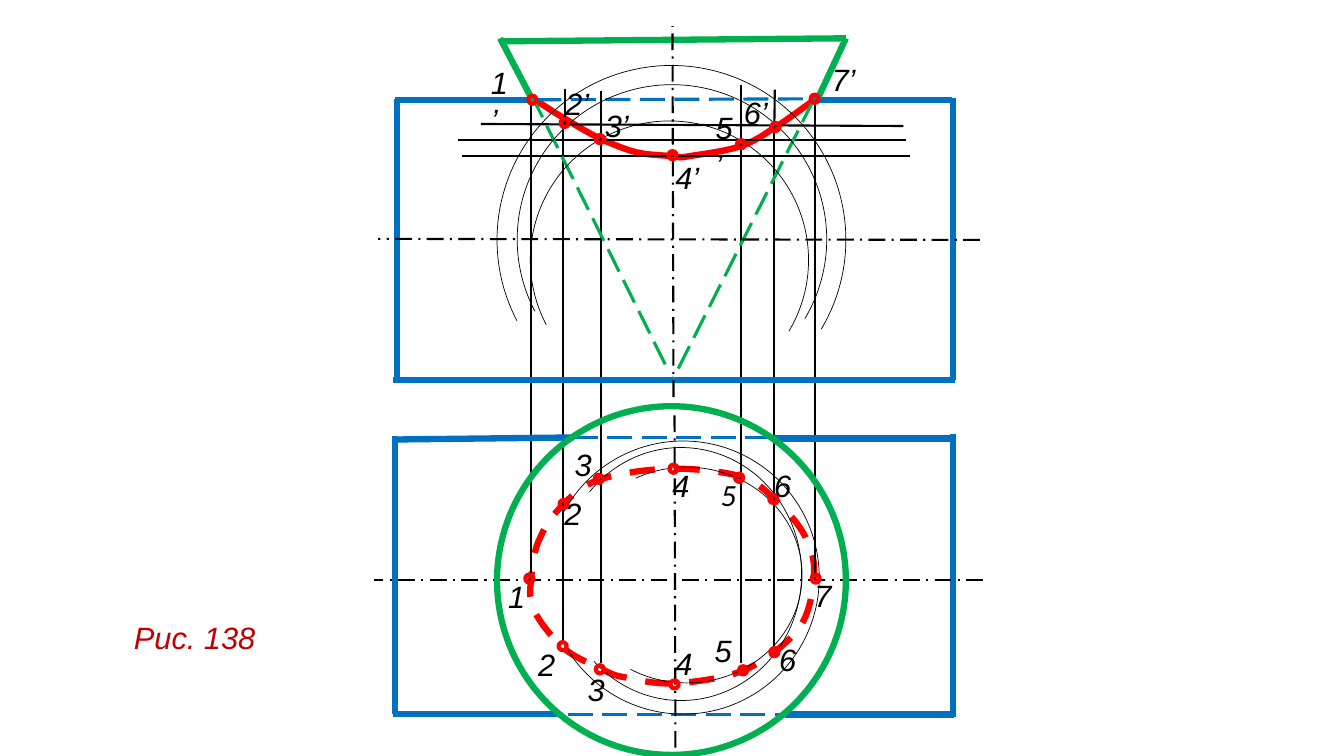
from lxml import etree
from pptx import Presentation, util as u
from pptx.dml.color import RGBColor
from pptx.enum import dml, shapes, text
from pptx.oxml.ns import qn

G = u.Inches(0.01)  # grid step: every position below counts columns and rows
RED, BLUE, GREEN, BLACK = "FF0000", "0070C0", "00B050", "000000"
DASH, LONG, AXIS = (dml.MSO_LINE.DASH, dml.MSO_LINE.LONG_DASH,
                    dml.MSO_LINE.LONG_DASH_DOT)


def rgb(color):
    return RGBColor.from_string(color)


def outline(sp, color, width, dash=None):
    """Give a shape or connector a plain line, with no fill or shadow."""
    if hasattr(sp, "fill"):
        sp.fill.background()
    sp.line.color.rgb = rgb(color)
    for name, value in {"width": u.Pt(width), "dash_style": dash}.items():
        setattr(sp.line, name, value)
    etree.SubElement(sp._element.spPr, qn("a:effectLst"))


prs = Presentation()
prs.slide_width, prs.slide_height = 1333 * G, 750 * G
s = prs.slides.add_slide(prs.slide_layouts[6])

# Intersection curves: a start point, then Bezier pieces of three points each
plan_curve = [
    (669, 465), (692, 465), (719, 468), (736, 473), (753, 479), (759, 487),
    (770, 497), (781, 507), (793, 521), (799, 533), (805, 546), (809, 558),
    (807, 573), (806, 588), (803, 609), (792, 624), (780, 639), (760, 655),
    (740, 664), (720, 673), (692, 676), (672, 678), (652, 679), (633, 675),
    (620, 672), (607, 670), (604, 667), (593, 662), (583, 657), (569, 652),
    (558, 642), (548, 633), (534, 616), (529, 604), (524, 592), (526, 584),
    (527, 572), (528, 560), (530, 544), (536, 533), (541, 521), (549, 510),
    (559, 500), (569, 490), (578, 481), (597, 475), (617, 469), (646, 465),
    (669, 465)]
front_curve = [
    (809, 98), (798, 106), (786, 115), (774, 123), (762, 130), (752, 139),
    (737, 144), (722, 150), (695, 153), (683, 155), (672, 157), (676, 156),
    (667, 155), (659, 154), (643, 154), (631, 151), (619, 148), (608, 143),
    (596, 138), (584, 132), (572, 125), (561, 118), (550, 112), (534, 101),
    (529, 98)]
for curve, closed, dash in ((plan_curve, True, DASH), (front_curve, False, None)):
    builder = s.shapes.build_freeform(*curve[0], scale=G)
    builder.add_line_segments(curve[1:], close=closed)
    sp = builder.convert_to_shape()
    # Turn each three straight segments into one Bezier piece
    segments = list(sp._element.iter(qn("a:lnTo")))
    for i in range(0, len(curve) - 1, 3):
        piece = etree.Element(qn("a:cubicBezTo"))
        segments[i].addprevious(piece)
        for segment in segments[i:i + 3]:
            piece.append(segment[0])
            segment.getparent().remove(segment)
    outline(sp, RED, 4.5, dash)

# Straight lines by style: x1, y1, x2, y2
line_groups = [
    # projection lines between the views, then cutting planes
    (BLACK, 1.5, None, [
        (767.5, 121, 767.5, 643), (558, 119, 558, 635), (808, 100, 808, 574),
        (596, 90, 596, 138), (596, 138, 596, 658), (735, 84, 735, 137),
        (735, 142, 735, 658), (527, 101, 527, 575),
        (560, 88, 560, 123), (768.5, 89, 768, 126),
        (477, 123, 896, 125), (454, 139, 899, 139), (458, 155, 903, 155)]),
    # cylinder outlines: front view, then plan
    (BLUE, 4.5, None, [
        (945, 377, 945, 97), (394, 98, 394, 374), (807, 99, 944, 99),
        (392, 99, 532, 99), (390, 377, 947, 377),
        (945, 711, 945, 431), (392, 433, 392, 708), (766, 435, 947, 435),
        (394, 436, 569, 434), (779, 709, 946, 709), (390, 708, 553, 708)]),
    (BLUE, 2.25, LONG, [
        (532, 99, 828, 98), (568, 434, 766, 434), (563, 709, 775, 709)]),
    # cone: hidden part, then visible part
    (GREEN, 2.25, LONG, [(807, 99, 668, 375), (527, 94, 663, 368)]),
    (GREEN, 4.5, None, [
        (496, 41, 839, 38), (839, 38, 811, 98), (496, 38, 529, 101)]),
    (BLACK, 1.5, AXIS, [
        (975, 575, 371, 575), (972, 238, 375, 237),
        (668, 394, 667, 26), (670, 773, 669, 405)]),
]
for color, width, dash, lines in line_groups:
    for ends in lines:
        line = s.shapes.add_connector(shapes.MSO_CONNECTOR.STRAIGHT,
                                      *(round(v * G) for v in ends))
        outline(line, color, width, dash)

# Cone base in plan
base = s.shapes.add_shape(shapes.MSO_SHAPE.OVAL, 493 * G, 403 * G, 346 * G, 346 * G)
outline(base, GREEN, 4.5)

# Construction arcs: left, top, width, height, rotation, start, end
SPAN = (91.37, 18.46)
for *box, turn, start, end in [
        (526, 120, 276, 276, 0, *SPAN), (513, 84, 307, 307, 0, *SPAN),
        (493, 65, 346, 346, 0, *SPAN), (574, 456, 214, 229, 90, *SPAN),
        (550, 450, 251, 239, 90, 79.13, 26.94),
        (542, 438, 271, 270, 90, 71.4, 36.42)]:
    arc = s.shapes.add_shape(shapes.MSO_SHAPE.ARC, *(v * G for v in box))
    arc.adjustments[0], arc.adjustments[1] = start, end
    arc.rotation = turn
    outline(arc, BLACK, 0.5)

# Marked points by centre
DOT = 8
front_points = [(528, 99), (560, 122), (595, 138), (667, 154), (735, 143),
                (769, 126), (808, 98)]
plan_points = [(525, 574), (559, 500), (594, 475), (668, 465), (733, 474),
               (767, 495), (809, 574), (768, 647), (737, 665), (669, 679),
               (595, 664), (558, 641)]
for x, y in front_points + plan_points:
    dot = s.shapes.add_shape(shapes.MSO_SHAPE.OVAL, (x - DOT // 2) * G,
                             (y - DOT // 2) * G, DOT * G, DOT * G)
    outline(dot, RED, 3)

# Labels: wording, left, top, width
labels = [
    ("1’", 477, 58, 38), ("2’", 551, 79, 44), ("3’", 590, 101, 44),
    ("4’", 660, 153, 49), ("5’", 700, 103, 42), ("6’", 728, 88, 44),
    ("7’", 815, 55, 44),
    ("1", 494, 568, 31), ("2", 550, 486, 37), ("3", 560, 437, 37),
    ("4", 657, 458, 49), ("5", 705, 467, 36), ("6", 758, 458, 37),
    ("7", 798, 567, 37), ("6", 763, 631, 37), ("5", 699, 622, 35),
    ("4", 660, 635, 49), ("3", 573, 661, 37), ("2", 524, 636, 37),
    ("Рис. 138", 123, 609, 158)]
for wording, x, y, width in labels:
    tf = s.shapes.add_textbox(x * G, y * G, width * G, 47 * G).text_frame
    tf.word_wrap = True
    tf.auto_size = text.MSO_AUTO_SIZE.SHAPE_TO_FIT_TEXT
    r = tf.paragraphs[0].add_run()
    r.text = wording
    font = "Calibri" if (wording, x) == ("5", 705) else "Arial"
    for name, value in {"name": font, "size": u.Pt(22), "italic": True}.items():
        setattr(r.font, name, value)
    r.font.color.rgb = rgb("C00000" if wording.startswith("Рис") else BLACK)

prs.save("out.pptx")
